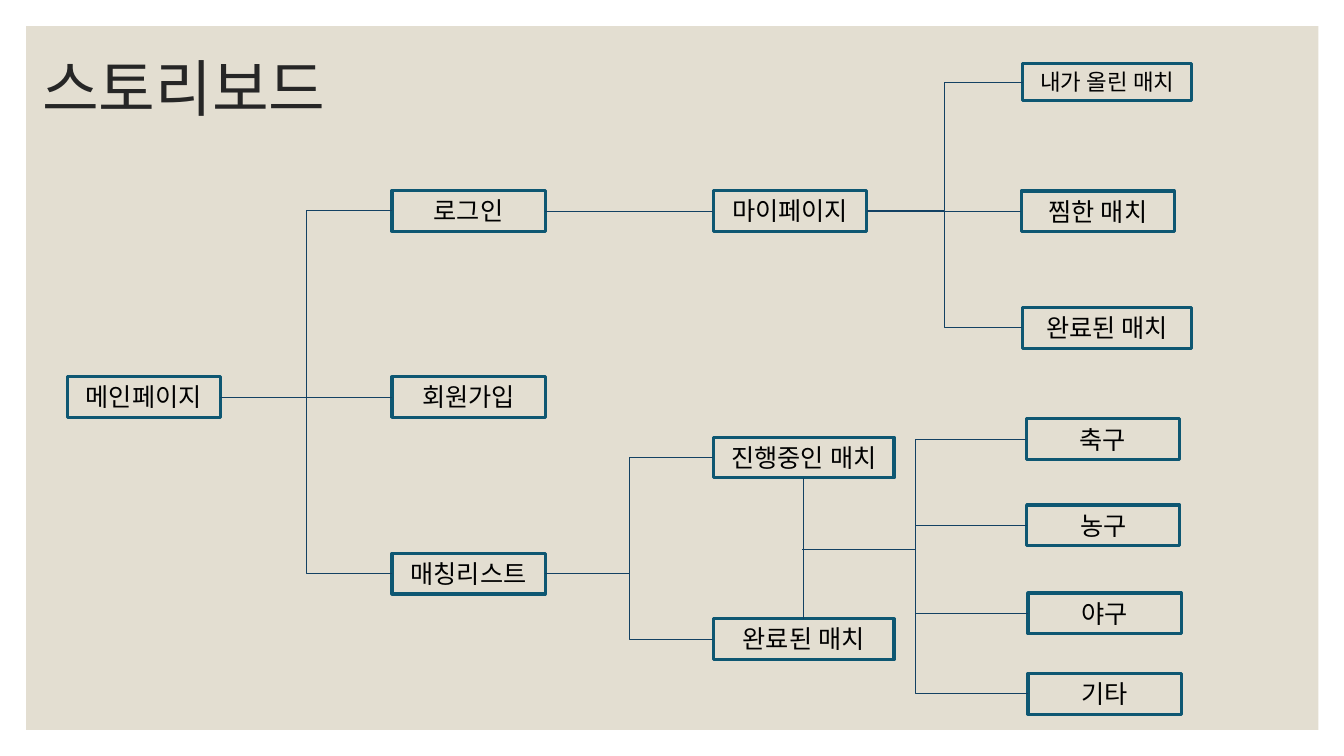
from lxml import etree
from pptx import Presentation
from pptx.dml.color import RGBColor
from pptx.enum.shapes import MSO_CONNECTOR, MSO_SHAPE
from pptx.enum.text import MSO_ANCHOR, MSO_AUTO_SIZE, PP_ALIGN
from pptx.oxml.ns import qn
from pptx.util import Pt

COLORS = {"panel": "E3DED1", "title": "262626", "border": "0E5772",
          "text": "000000", "link": "134163"}
TITLE_FONT, BOX_FONT = "Noto Sans CJK KR", "League Spartan"
TOP, LEFT, BOTTOM, RIGHT = range(4)  # connection sites of a rectangle
BOX_W, BOX_H = 109.4, 29.1

# key: (text, left, top, width, height, font size)
PAGES = {
    "main": ("메인페이지", 48, 269.1, BOX_W, BOX_H, 18),
    "login": ("로그인", 280, 136.1, BOX_W, BOX_H, 18),
    "signup": ("회원가입", 280, 269.1, BOX_W, BOX_H, 18),
    "list": ("매칭리스트", 280, 395.2, BOX_W, BOX_H, 18),
    "mypage": ("마이페이지", 509.6, 136.1, BOX_W, BOX_H, 18),
    "ongoing": ("진행중인 매치", 509.6, 312.2, 129, BOX_H, 18),
    "finished": ("완료된 매치", 509.6, 442, 129, BOX_H, 18),
    "posted": ("내가 올린 매치", 730.6, 45.4, 120.5, 26.7, 16),
    "liked": ("찜한 매치", 729.4, 136.4, BOX_W, BOX_H, 18),
    "done": ("완료된 매치", 730.3, 219.6, 121, BOX_H, 18),
    "soccer": ("축구", 733, 299.2, BOX_W, BOX_H, 18),
    "basketball": ("농구", 733.3, 360.7, BOX_W, BOX_H, 18),
    "baseball": ("야구", 734.3, 423.6, BOX_W, BOX_H, 18),
    "etc": ("기타", 734.3, 481, BOX_W, BOX_H, 18),
}
STRAIGHT_LINKS = [("main", RIGHT, "signup", LEFT),
                  ("login", RIGHT, "mypage", LEFT),
                  ("ongoing", BOTTOM, "finished", TOP)]
BRANCHES = {"main": ["list", "login"],
            "list": ["ongoing", "finished"],
            "mypage": ["posted", "liked", "done"]}
# sport: left end of its line, on the trunk between the two match lists
SPORTS = {"soccer": 574.6, "basketball": 573.8, "baseball": 573.1, "etc": 573.1}
TRUNK_Y = 392.2


def rgb(name):
    return RGBColor.from_string(COLORS[name])


def add_run(p, text, font, size, color):
    r = p.add_run()
    r.text = text
    r.font.name = font
    r.font.size = Pt(size)
    r.font.color.rgb = rgb(color)
    etree.SubElement(r.font._element, qn("a:ea"), typeface=font)


def add_panel(s):
    sp = s.shapes.add_shape(MSO_SHAPE.RECTANGLE, Pt(18.7), Pt(18.7), Pt(923), Pt(502.6))
    sp.shadow.inherit = False
    sp.fill.solid()
    sp.fill.fore_color.rgb = rgb("panel")
    sp.line.fill.background()


def add_title(s, text):
    sp = s.shapes.add_textbox(Pt(23), Pt(11.5), Pt(792), Pt(108))
    tf = sp.text_frame
    tf.word_wrap = True
    tf.vertical_anchor = MSO_ANCHOR.MIDDLE
    p = tf.paragraphs[0]
    p.line_spacing = 0.9
    add_run(p, text, TITLE_FONT, 44, "title")


def add_page(s, text, left, top, width, height, size):
    sp = s.shapes.add_shape(MSO_SHAPE.RECTANGLE, Pt(left), Pt(top), Pt(width), Pt(height))
    sp.shadow.inherit = False
    sp.fill.background()
    sp.line.color.rgb = rgb("border")
    sp.line.width = Pt(2.25)
    tf = sp.text_frame
    tf.word_wrap = True
    tf.auto_size = MSO_AUTO_SIZE.SHAPE_TO_FIT_TEXT
    tf.vertical_anchor = MSO_ANCHOR.TOP
    p = tf.paragraphs[0]
    p.alignment = PP_ALIGN.CENTER
    add_run(p, text, BOX_FONT, size, "text")
    return sp


def add_link(s, kind, end, site, start=None, start_site=RIGHT, point=(0, 0)):
    """Join a page, or a free point, to the given site of the end page."""
    x, y = point
    c = s.shapes.add_connector(kind, Pt(x), Pt(y), Pt(x), Pt(y))
    if start is not None:
        c.begin_connect(start, start_site)
    c.end_connect(end, site)
    c.line.color.rgb = rgb("link")
    c.line.width = Pt(0.5)
    etree.SubElement(c._element.spPr, qn("a:effectLst"))


def main():
    prs = Presentation()
    prs.slide_width, prs.slide_height = Pt(960), Pt(540)
    s = prs.slides.add_slide(prs.slide_layouts[6])

    # Background and title
    add_panel(s)
    add_title(s, "스토리보드")

    # Pages
    boxes = {key: add_page(s, *page) for key, page in PAGES.items()}

    # Straight links
    for start, start_site, end, site in STRAIGHT_LINKS:
        add_link(s, MSO_CONNECTOR.STRAIGHT, boxes[end], site, boxes[start], start_site)

    # Branches from page to page
    for start, ends in BRANCHES.items():
        for end in ends:
            add_link(s, MSO_CONNECTOR.ELBOW, boxes[end], LEFT, boxes[start])

    # Branches from the trunk to the sports
    for sport, x in SPORTS.items():
        add_link(s, MSO_CONNECTOR.ELBOW, boxes[sport], LEFT, point=(x, TRUNK_Y))

    prs.save("out.pptx")


if __name__ == "__main__":
    main()
